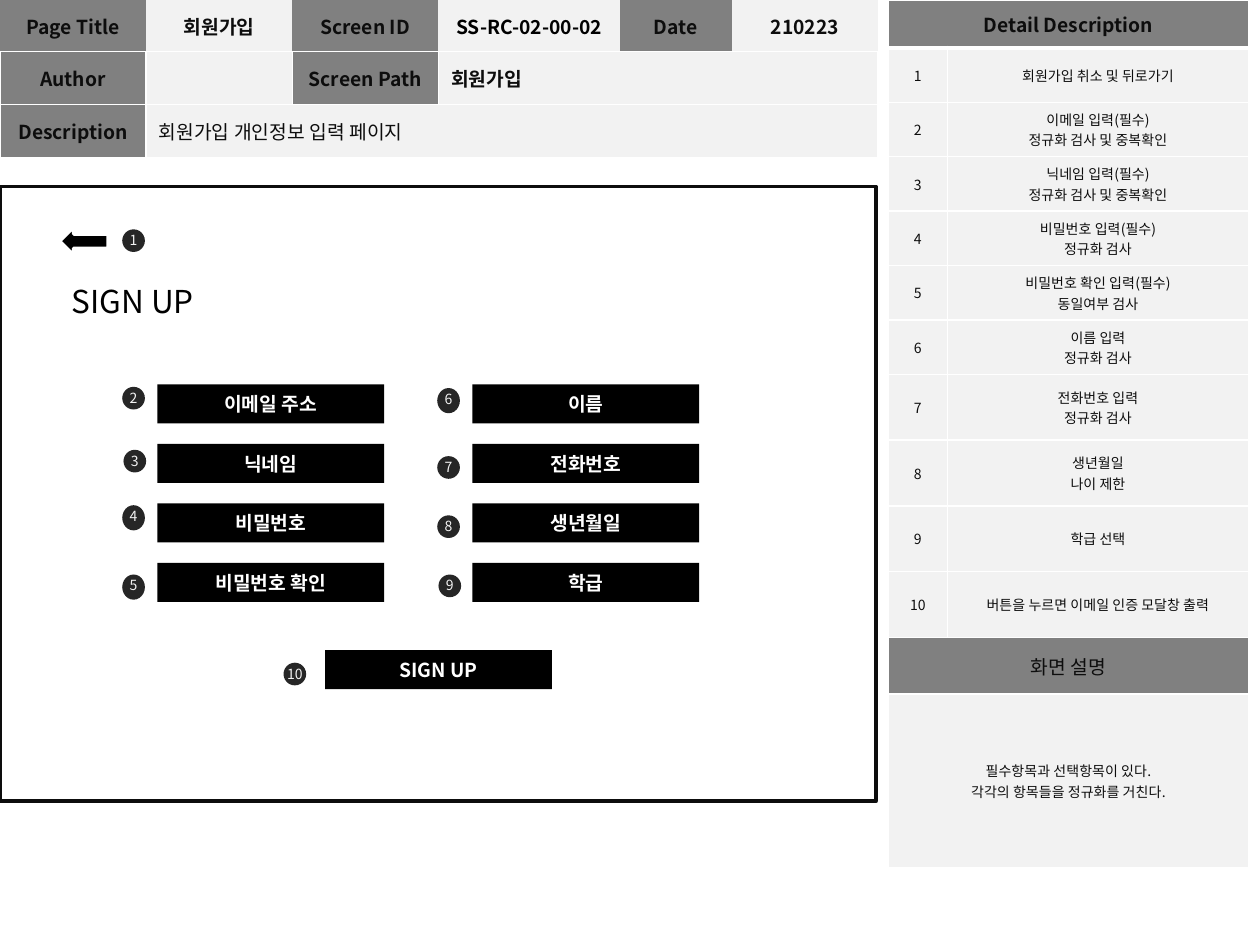
"""Build the sign-up screen specification slide."""
from dataclasses import dataclass
from typing import Any, Optional

from lxml import etree
from pptx import Presentation
from pptx import util as u
from pptx.dml import color
from pptx.enum import shapes, text
from pptx.oxml import ns

W, H = u.Inches(10), u.Inches(7.5)
COLS, ROWS = 1000, 750
FONT = "Noto Sans CJK KR"
NO_STYLE = "{2D5ABB26-0587-4C30-8999-92F81FD0307C}"
C = {"head": "808080", "cell": "F2F2F2", "ink": "0D0D0D", "black": "000000",
     "white": "FFFFFF", "badge": "262626"}
SIDES = "LRTB"
MID, CENTER, LEFT = text.MSO_ANCHOR.MIDDLE, text.PP_ALIGN.CENTER, text.PP_ALIGN.LEFT
RECT = shapes.MSO_SHAPE.RECTANGLE


@dataclass
class Box:
    left: float
    top: float
    width: float
    height: float

    def emu(self) -> tuple[int, ...]:
        return (int(W * self.left / COLS), int(H * self.top / ROWS),
                int(W * self.width / COLS), int(H * self.height / ROWS))


@dataclass
class Cell:
    row: int
    col: int
    text: str
    fill: str = "cell"
    span: int = 1
    size: float = 11
    bold: bool = True
    ink: str = "ink"
    align: Any = CENTER
    sides: str = SIDES
    bottom: float = 1


@dataclass
class Badge:
    number: int
    left: float
    top: float
    height: float = 18


@dataclass
class Button:
    label: str
    left: float
    top: float


def rgb(name: str) -> color.RGBColor:
    return color.RGBColor.from_string(C[name])


def apply(obj: Any, fmt: dict) -> None:
    for key, value in fmt.items():
        setattr(obj, key, value)


def write(tf: Any, words: str, size: float, ink: str, bold: bool = False,
          align: Any = LEFT) -> None:
    for i, line in enumerate(words.split("\n")):
        p = tf.add_paragraph() if i else tf.paragraphs[0]
        p.alignment = align
        r = p.add_run()
        r.text = line
        apply(r.font, {"size": u.Pt(size), "name": FONT, "bold": bold})
        r.font.color.rgb = rgb(ink)
        ea = etree.SubElement(r.font._element, ns.qn("a:ea"))
        ea.set("typeface", FONT)


def shape(parent: Any, kind: Any, box: Box, fill: Optional[str] = None,
          line: Optional[str] = None) -> Any:
    sp = parent.add_shape(kind, *box.emu())
    sp.shadow.inherit = False
    if fill:
        sp.fill.solid()
        sp.fill.fore_color.rgb = rgb(fill)
    else:
        sp.fill.background()
    if line:
        sp.line.color.rgb = rgb(line)
        sp.line.width = u.Pt(2.25)
    else:
        sp.line.fill.background()
    return sp


def text_box(parent: Any, box: Box, words: str, size: float, ink: str,
             align: Any = LEFT, **fmt: Any) -> None:
    tf = parent.add_textbox(*box.emu()).text_frame
    apply(tf, {"auto_size": text.MSO_AUTO_SIZE.SHAPE_TO_FIT_TEXT, **fmt})
    write(tf, words, size, ink, align=align)


def border(cell: Any, sides: str, bottom: float) -> None:
    tc_pr = cell._tc.get_or_add_tcPr()
    for i, side in enumerate(sides):
        ln = etree.Element(ns.qn(f"a:ln{side}"), w=str(u.Pt(bottom if side == "B" else 1)))
        fill = etree.SubElement(ln, ns.qn("a:solidFill"))
        etree.SubElement(fill, ns.qn("a:srgbClr"), val=C["white"])
        tc_pr.insert(i, ln)


def table(s: Any, box: Box, widths: list[float], heights: list[float],
          cells: list[Cell]) -> None:
    tbl = s.shapes.add_table(len(heights), len(widths), *box.emu()).table
    apply(tbl, {"first_row": False, "horz_banding": False})
    tbl._tbl.tblPr.find(ns.qn("a:tableStyleId")).text = NO_STYLE
    for column, width in zip(tbl.columns, widths):
        column.width = int(W * width / COLS)
    for row, height in zip(tbl.rows, heights):
        row.height = int(H * height / ROWS)
    for c in cells:
        cell = tbl.cell(c.row, c.col)
        if c.span > 1:
            cell.merge(tbl.cell(c.row, c.col + c.span - 1))
        cell.vertical_anchor = MID
        cell.fill.solid()
        cell.fill.fore_color.rgb = rgb(c.fill)
        border(cell, c.sides, c.bottom)
        write(cell.text_frame, c.text, c.size, c.ink, c.bold, c.align)


def badge(s: Any, b: Badge) -> None:
    group = s.shapes.add_group_shape().shapes
    shape(group, shapes.MSO_SHAPE.OVAL, Box(b.left, b.top, 18, b.height), "badge")
    extra = 3 * (len(str(b.number)) - 1)
    text_box(group, Box(b.left - 4 - extra, b.top - 3, 26 + 2 * extra, 24),
             str(b.number), 8, "cell", CENTER,
             word_wrap=False, margin_left=0, margin_right=0)


def button(s: Any, b: Button) -> None:
    sp = shape(s.shapes, RECT, Box(b.left, b.top, 180, 31), "black")
    sp.text_frame.vertical_anchor = MID
    write(sp.text_frame, b.label, 11, "white", True, CENTER)


TITLES = ["Page Title", "회원가입", "Screen ID", "SS-RC-02-00-02", "Date", "210223"]
HEADER = [Cell(0, i, t, "cell" if i % 2 else "head", sides="B",
               ink="black" if i == 3 else "ink") for i, t in enumerate(TITLES)] + [
    Cell(1, 0, "Author", "head"), Cell(1, 1, ""), Cell(1, 2, "Screen Path", "head"),
    Cell(1, 3, "회원가입", span=3, align=LEFT), Cell(2, 0, "Description", "head"),
    Cell(2, 1, "회원가입 개인정보 입력 페이지", span=5, bold=False, align=LEFT)]

DETAILS = ["회원가입 취소 및 뒤로가기", "이메일 입력(필수)\n정규화 검사 및 중복확인",
           "닉네임 입력(필수)\n정규화 검사 및 중복확인", "비밀번호 입력(필수)\n정규화 검사",
           "비밀번호 확인 입력(필수)\n동일여부 검사", "이름 입력\n정규화 검사",
           "전화번호 입력\n정규화 검사", "생년월일\n나이 제한", "학급 선택",
           "버튼을 누르면 이메일 인증 모달창 출력"]
DETAIL_CELLS = [Cell(0, 0, "Detail Description", "head", 2, bottom=3)] + [
    Cell(i, col, words, size=8, bold=False) for i, detail in enumerate(DETAILS, 1)
    for col, words in enumerate((str(i), detail))] + [
    Cell(11, 0, "화면 설명", "head", 2, bold=False),
    Cell(12, 0, "필수항목과 선택항목이 있다.\n각각의 항목들을 정규화를 거친다.",
         span=2, size=8, bold=False)]

FIELDS = [["이메일 주소", "닉네임", "비밀번호", "비밀번호 확인"],
          ["이름", "전화번호", "생년월일", "학급"]]
BUTTONS = [Button(label, 125 + 250 * i, 305 + 47.25 * j)
           for i, labels in enumerate(FIELDS) for j, label in enumerate(labels)]
BUTTONS.append(Button("SIGN UP", 258, 516))
BADGES = [Badge(1, 97, 182), Badge(2, 97, 307), Badge(3, 98, 357), Badge(4, 97, 401, 20),
          Badge(5, 97, 456, 20), Badge(6, 347, 308, 20), Badge(7, 347, 362),
          Badge(8, 347, 409), Badge(9, 348, 456), Badge(10, 225, 526)]


def main() -> None:
    prs = Presentation()
    apply(prs, {"slide_width": W, "slide_height": H})
    s = prs.slides.add_slide(prs.slide_layouts[6])
    table(s, Box(0, 0, 697, 125), [116, 116, 116, 144, 89, 116], [41, 42, 42], HEADER)
    shape(s.shapes, RECT, Box(0, 148, 695, 488), line="ink")
    table(s, Box(705, 0, 286, 689), [47, 239],
          [38] + [43.2] * 6 + [52.2] * 4 + [45, 138], DETAIL_CELLS)
    shape(s.shapes, shapes.MSO_SHAPE.LEFT_ARROW, Box(47, 180, 39, 23), "black", "white")
    text_box(s.shapes, Box(47, 219, 148, 40), "SIGN UP", 18, "black", word_wrap=True)
    for b in BUTTONS:
        button(s, b)
    for b in BADGES:
        badge(s, b)
    prs.save("out.pptx")


if __name__ == "__main__":
    main()
